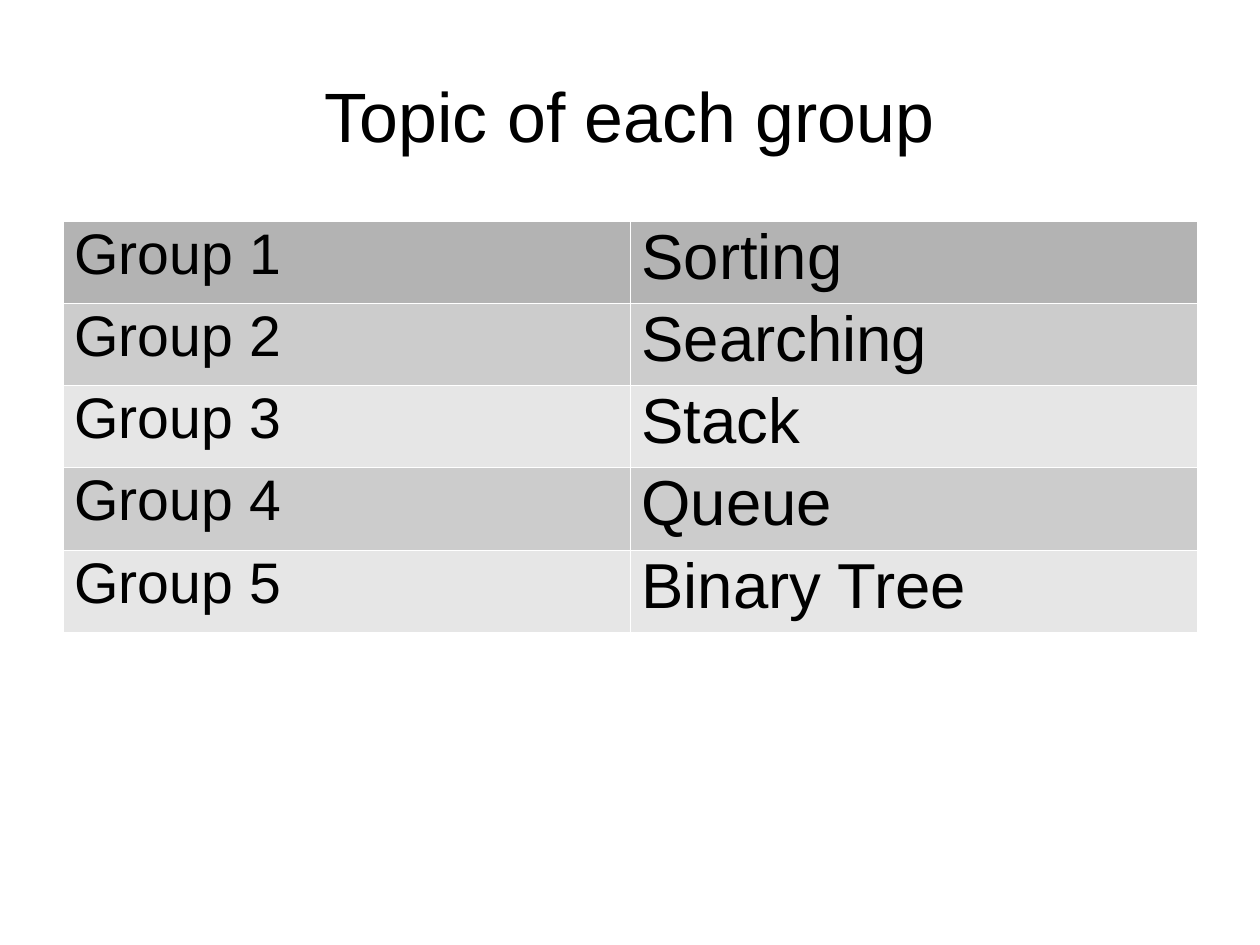
from lxml import etree
from pptx import Presentation
from pptx.dml.color import RGBColor
from pptx.enum.text import MSO_ANCHOR, MSO_AUTO_SIZE, PP_ALIGN
from pptx.oxml.ns import qn
from pptx.util import Pt

PX = 8000  # EMU per px
SLIDE_WIDTH, SLIDE_HEIGHT = 1260, 945
FONT = "Arial"
LINE_SPACING = 0.93
BLACK = RGBColor(0x00, 0x00, 0x00)
WHITE = RGBColor(0xFF, 0xFF, 0xFF)
HEADER_GRAY = RGBColor(0xB3, 0xB3, 0xB3)
BAND_GRAYS = (RGBColor(0xCC, 0xCC, 0xCC), RGBColor(0xE6, 0xE6, 0xE6))
BORDER_WIDTH = Pt(0.06)
MIDDLE = MSO_ANCHOR.MIDDLE
TOP = MSO_ANCHOR.TOP
NO_AUTOFIT = MSO_AUTO_SIZE.NONE
CENTER = PP_ALIGN.CENTER
LEFT = PP_ALIGN.LEFT

TITLE_BOX = (63, 38, 1134, 158)
TABLE_BOX = (63, 221, 1134, 411)
COLUMN_SIZES = (36, 40)
TOPICS = ("Sorting", "Searching", "Stack", "Queue", "Binary Tree")


def emu(box):
    return [length * PX for length in box]


def write(tf, text, size, align):
    p = tf.paragraphs[0]
    p.text = text
    p.alignment = align
    p.line_spacing = LINE_SPACING
    p.font.name = FONT
    p.font.size = Pt(size)
    p.font.bold = False
    p.font.color.rgb = BLACK


def add_title(slide, box, text):
    sp = slide.shapes.title
    sp.left, sp.top, sp.width, sp.height = emu(box)
    tf = sp.text_frame
    tf.margin_left = tf.margin_right = tf.margin_bottom = 0
    tf.margin_top = 5 * PX
    tf.word_wrap = True
    tf.auto_size = NO_AUTOFIT
    tf.vertical_anchor = MIDDLE
    write(tf, text, 44, CENTER)


def set_borders(cell):
    tc_pr = cell._tc.get_or_add_tcPr()
    for side in ("lnL", "lnR", "lnT", "lnB"):
        line = etree.SubElement(tc_pr, qn(f"a:{side}"), w=str(BORDER_WIDTH))
        fill = etree.SubElement(line, qn("a:solidFill"))
        etree.SubElement(fill, qn("a:srgbClr"), val=str(WHITE))


def format_cell(cell, text, size, color):
    cell.vertical_anchor = TOP
    set_borders(cell)
    cell.fill.solid()
    cell.fill.fore_color.rgb = color
    write(cell.text_frame, text, size, LEFT)


def add_topic_table(slide, box, topics):
    table = slide.shapes.add_table(len(topics), 2, *emu(box)).table
    for i, topic in enumerate(topics):
        color = BAND_GRAYS[(i - 1) % 2] if i else HEADER_GRAY
        texts = (f"Group {i + 1}", topic)
        for cell, text, size in zip(table.rows[i].cells, texts, COLUMN_SIZES):
            format_cell(cell, text, size, color)


def main():
    prs = Presentation()
    prs.slide_width = SLIDE_WIDTH * PX
    prs.slide_height = SLIDE_HEIGHT * PX
    slide = prs.slides.add_slide(prs.slide_layouts.get_by_name("Title Only"))
    slide.background.fill.solid()
    slide.background.fill.fore_color.rgb = WHITE
    add_title(slide, TITLE_BOX, "Topic of each group")
    add_topic_table(slide, TABLE_BOX, TOPICS)
    prs.save("out.pptx")


if __name__ == "__main__":
    main()
